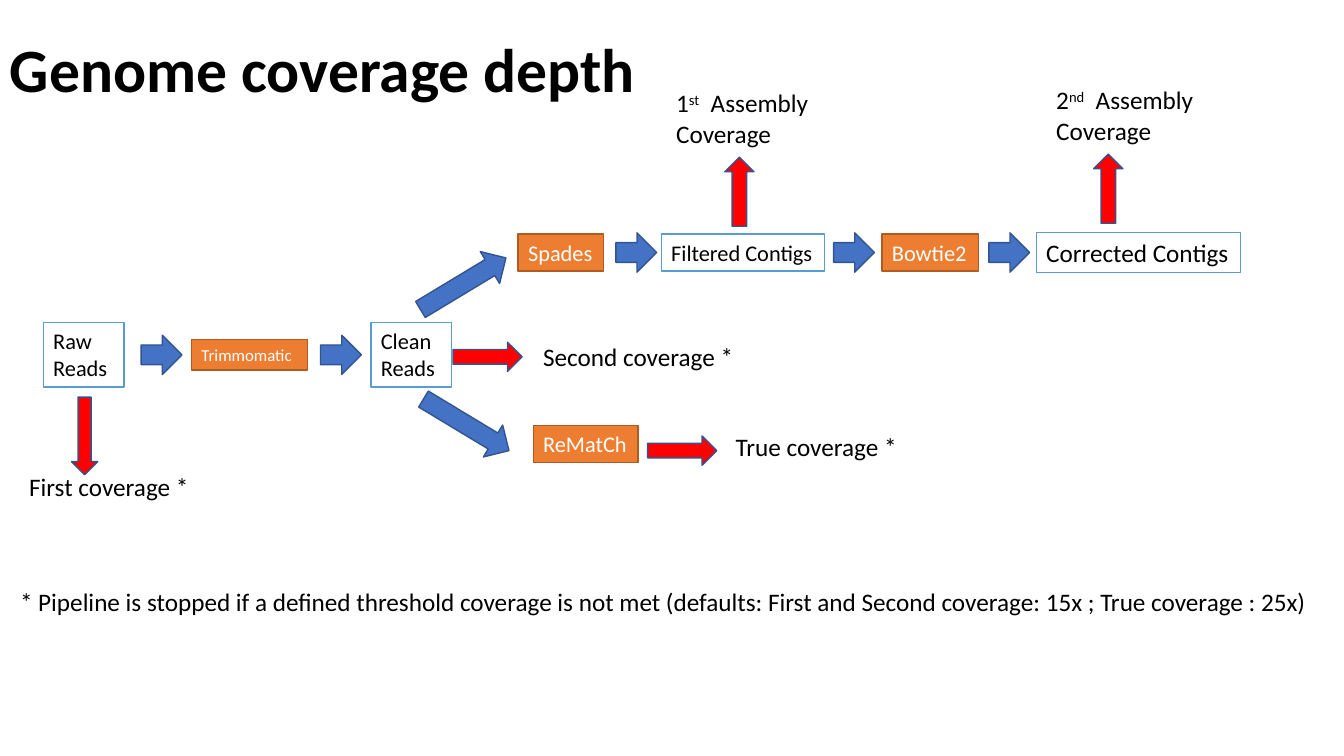
import pptx
import pptx.util
import pptx.dml.color
import pptx.enum.shapes
import pptx.enum.text

SHAPES = pptx.enum.shapes.MSO_SHAPE
ANCHORS = pptx.enum.text.MSO_ANCHOR
FITS = pptx.enum.text.MSO_AUTO_SIZE

# The grid has 0.1 inch cells; all places and sizes count cells.
CELL = pptx.util.Inches(0.1)
SLIDE_SIZE = (133.33, 75)
UPPER, MIDDLE, LOWER = 25.05, 35.2, 44.05  # centre lines of the three branches

FONT = "Calibri"
DATA = {"fill": "FFFFFF", "line": "5B9BD5", "text": "000000"}
TOOL = {"fill": "ED7D31", "line": "AF5C24", "text": "FFFFFF"}
FLOW = {"fill": "4472C4", "line": "325491"}
RESULT = {"fill": "FF0000", "line": "325491"}

TITLE = "Genome coverage depth"
FOOTNOTE = ("* Pipeline is stopped if a defined threshold coverage is not met "
            "(defaults: First and Second coverage: 15x ; True coverage : 25x)")

# lines, left, centre line, width, height, style, text size
STEPS = [
    (["Raw", "Reads"], 4.3, MIDDLE, 8, 6.4, DATA, 16),
    (["Trimmomatic"], 19, MIDDLE, 11.5, 3, TOOL, 12),
    (["Clean", "Reads"], 36.8, MIDDLE, 8, 6.4, DATA, 16),
    (["Spades"], 51.4, UPPER, 8.5, 3.7, TOOL, 16),
    (["Filtered Contigs"], 65.6, UPPER, 16.2, 3.7, DATA, 16),
    (["Bowtie2"], 87.5, UPPER, 9.6, 3.7, TOOL, 16),
    (["Corrected Contigs"], 102.8, UPPER, 20.3, 4, DATA, 18),
    (["ReMatCh"], 52.9, LOWER, 10.4, 3.7, TOOL, 16),
]

# left, centre line
FLOW_ARROWS = [(14, MIDDLE), (31.8, MIDDLE),
               (61.1, UPPER), (82.7, UPPER), (98.1, UPPER)]
FLOW_SIZE = (4.05, 3.9)

# left, top, rotation
BRANCH_ARROWS = [(41, 26.3, -31.1), (41.3, 40.3, 31.1)]
BRANCH_SIZE = (9.9, 3.7)

# preset, left, top, width, height
RESULT_ARROWS = [
    (SHAPES.DOWN_ARROW, 7.1, 39.4, 2.6, 7.7),
    (SHAPES.RIGHT_ARROW, 44.95, 33.95, 6.85, 2.9),
    (SHAPES.RIGHT_ARROW, 64.25, 43.25, 6.85, 2.9),
    (SHAPES.UP_ARROW, 71.9, 15.6, 2.9, 6.85),
    (SHAPES.UP_ARROW, 108.5, 15.3, 2.9, 6.85),
]

# lines, left, top, width, height; a tuple is number, raised ending, rest
LABELS = [
    (["First coverage *"], 1.9, 46.3, 18, 4),
    (["Second coverage *"], 52.9, 33.4, 21.1, 4),
    (["True coverage *"], 72, 42.3, 18.2, 4),
    ([("1", "st", "  Assembly"), "Coverage"], 66.1, 8.2, 16.6, 7.1),
    ([("2", "nd", "  Assembly"), "Coverage"], 103.8, 7.9, 16.5, 7.1),
    ([FOOTNOTE], 1, 57.7, 130.2, 4),
]


def color(value):
    return pptx.dml.color.RGBColor.from_string(value)


def cells(*counts):
    return [round(count * CELL) for count in counts]


def write(box, lines, size, text_color, bold=False):
    """Fill a box with one left-aligned paragraph per line."""
    frame = box.text_frame
    frame.word_wrap = False
    frame.auto_size = FITS.SHAPE_TO_FIT_TEXT
    for index, line in enumerate(lines):
        para = frame.add_paragraph() if index else frame.paragraphs[0]
        para.alignment = pptx.enum.text.PP_ALIGN.LEFT
        pieces = line if isinstance(line, tuple) else (line,)
        for position, piece in enumerate(pieces):
            span = para.add_run()
            span.text = piece
            span.font.name = FONT
            span.font.size = pptx.util.Pt(size)
            span.font.bold = bold
            span.font.color.rgb = color(text_color)
            if position == 1:
                span.font._element.set("baseline", "30000")


def add_shape(page, preset, place, style, rotation=0):
    shape = page.shapes.add_shape(preset, *cells(*place))
    shape.shadow.inherit = False
    shape.fill.solid()
    shape.fill.fore_color.rgb = color(style["fill"])
    shape.line.color.rgb = color(style["line"])
    shape.line.width = pptx.util.Pt(1)
    shape.rotation = rotation
    return shape


def add_title(page):
    box = page.shapes.add_textbox(*cells(0, -0.1, 115, 14.5))
    write(box, [TITLE], 44, "000000", bold=True)
    frame = box.text_frame
    frame.word_wrap = True
    frame.auto_size = FITS.NONE
    frame.vertical_anchor = ANCHORS.MIDDLE
    frame.paragraphs[0].line_spacing = 0.9


def main():
    deck = pptx.Presentation()
    deck.slide_width, deck.slide_height = cells(*SLIDE_SIZE)
    page = deck.slides.add_slide(deck.slide_layouts[6])

    add_title(page)
    for lines, left, centre, width, height, style, size in STEPS:
        place = (left, centre - height / 2, width, height)
        box = add_shape(page, SHAPES.RECTANGLE, place, style)
        write(box, lines, size, style["text"])
        box.text_frame.vertical_anchor = ANCHORS.TOP
    for left, centre in FLOW_ARROWS:
        place = (left, centre - FLOW_SIZE[1] / 2, *FLOW_SIZE)
        add_shape(page, SHAPES.RIGHT_ARROW, place, FLOW)
    for left, top, rotation in BRANCH_ARROWS:
        add_shape(page, SHAPES.RIGHT_ARROW, (left, top, *BRANCH_SIZE), FLOW, rotation)
    for preset, *place in RESULT_ARROWS:
        add_shape(page, preset, place, RESULT)
    for lines, *place in LABELS:
        write(page.shapes.add_textbox(*cells(*place)), lines, 18, "000000")

    deck.save("out.pptx")


if __name__ == "__main__":
    main()
